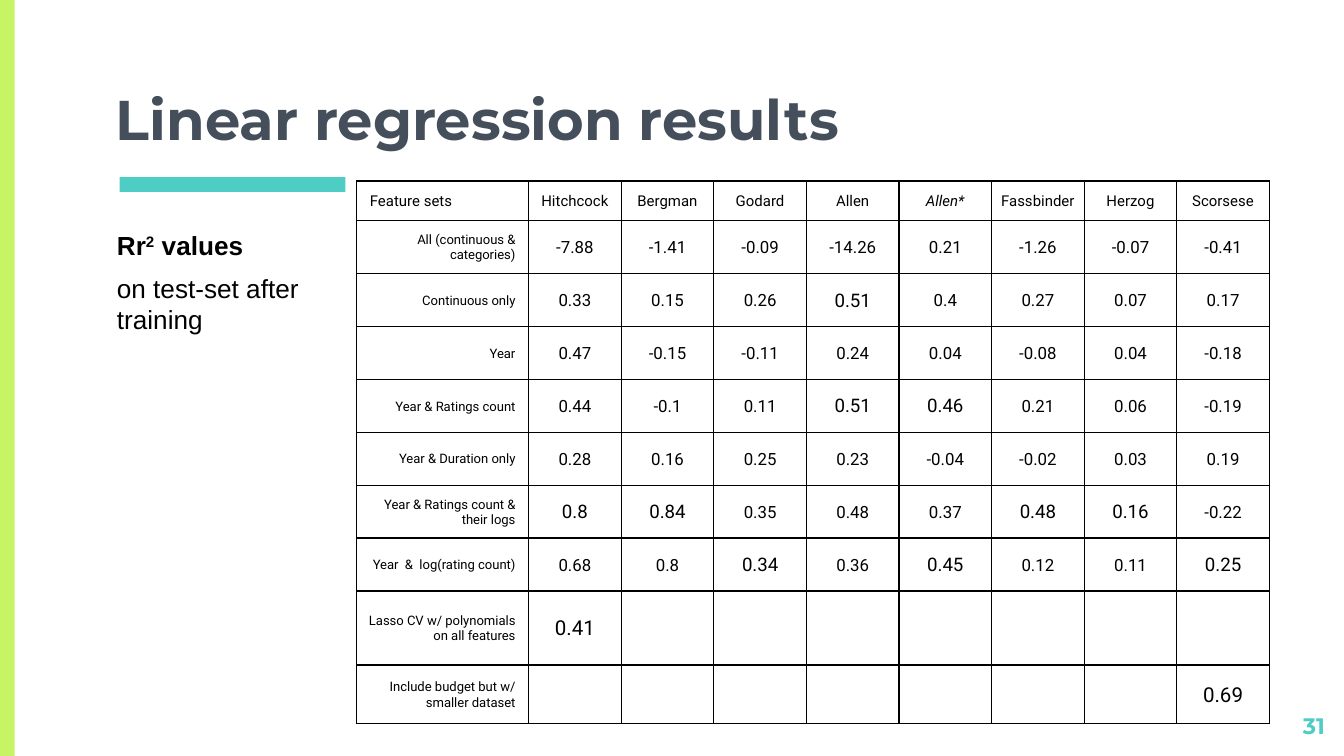
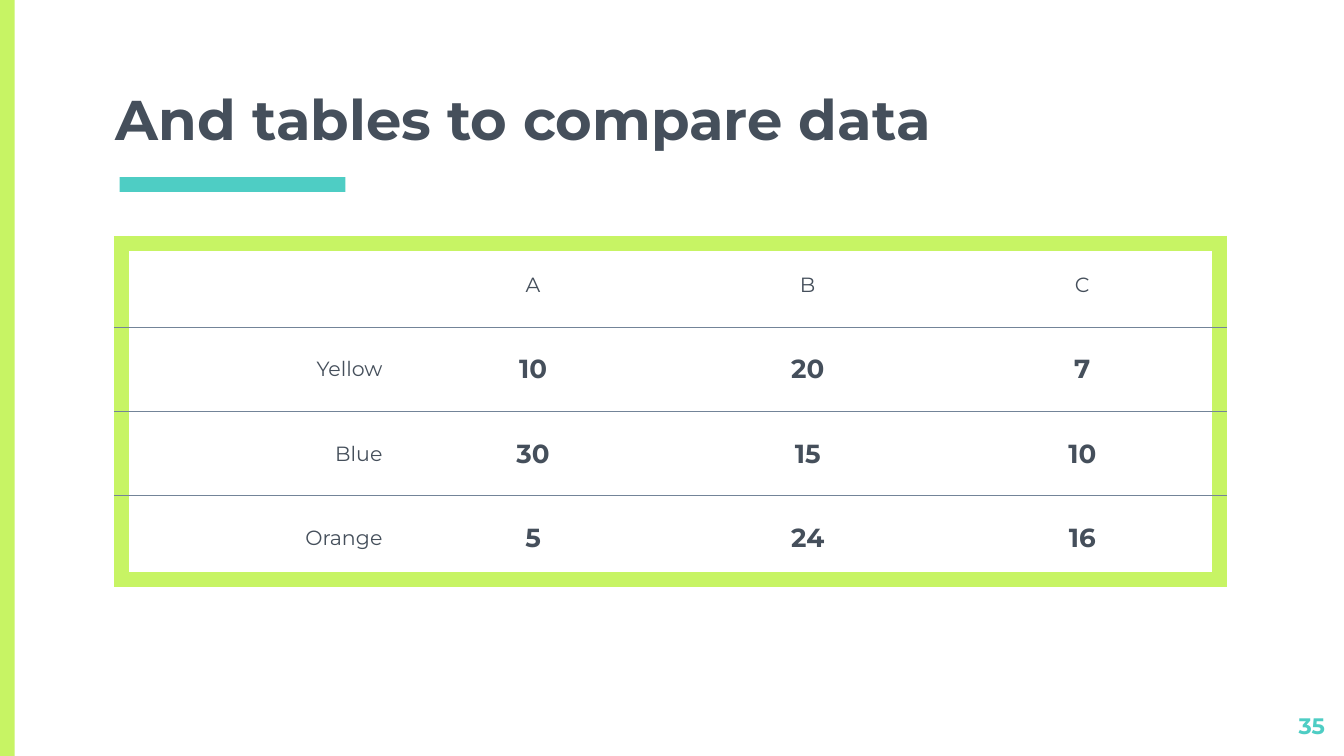
import pptx
import pptx.util
import pptx.dml.color
import pptx.enum.shapes
import pptx.enum.text
import pptx.oxml.ns
import lxml.etree

Cm = pptx.util.Cm
Pt = pptx.util.Pt
align = pptx.enum.text.PP_ALIGN
anchor = pptx.enum.text.MSO_ANCHOR
qn = pptx.oxml.ns.qn

theme = {
    "ink": "454F5B", "lime": "C7F464", "teal": "4ECDC4", "slate": "738498", "black": "000000",
    "title": ("ink", dict(name="Montserrat", size=Pt(30), bold=True)),
    "number": ("teal", dict(name="Montserrat", size=Pt(12), bold=True)),
    "lead": ("black", dict(name="Arial", size=Pt(14), bold=True)),
    "note": ("black", dict(name="Arial", size=Pt(14), bold=False)),
    "head": ("black", dict(name="Roboto", size=Pt(8))),
    "label": ("black", dict(name="Roboto", size=Pt(7))),
    "value": ("black", dict(name="Roboto", size=Pt(9))),
    "plain": ("ink", dict(name="Montserrat", size=Pt(11))),
    "strong": ("ink", dict(name="Montserrat", size=Pt(14), bold=True)),
}
tight = (0.03, 0.03, 0.03, 0)
roomy = (0.25, 0.18, 0.25, 0.18)
even = (0.25, 0.25, 0.25, 0.25)


def write(para, text, style, **extra):
    tint, form = theme[style]
    run = para.add_run()
    run.text = text
    for key, value in {**form, **extra}.items():
        setattr(run.font, key, value)
    run.font.color.rgb = pptx.dml.color.RGBColor.from_string(theme[tint])
    return run


def ready(host, pads, pose, side):
    form = dict(zip(("margin_left", "margin_top", "margin_right", "margin_bottom"), map(Cm, pads)))
    for key, value in {**form, "vertical_anchor": pose, "word_wrap": True}.items():
        if hasattr(host, key):
            setattr(host, key, value)
    para = getattr(host, "text_frame", host).paragraphs[0]
    para.alignment = side
    return para


scores = [
    ("Feature sets", "Hitchcock Bergman Godard Allen Allen* Fassbinder Herzog Scorsese"),
    ("All (continuous & categories)", "-7.88 -1.41 -0.09 -14.26 0.21 -1.26 -0.07 -0.41"),
    ("Continuous only", "0.33 0.15 0.26 0.51 0.4 0.27 0.07 0.17"),
    ("Year", "0.47 -0.15 -0.11 0.24 0.04 -0.08 0.04 -0.18"),
    ("Year & Ratings count", "0.44 -0.1 0.11 0.51 0.46 0.21 0.06 -0.19"),
    ("Year & Duration only", "0.28 0.16 0.25 0.23 -0.04 -0.02 0.03 0.19"),
    ("Year & Ratings count & their logs", "0.8 0.84 0.35 0.48 0.37 0.48 0.16 -0.22"),
    ("Year  &  log(rating count)", "0.68 0.8 0.34 0.36 0.45 0.12 0.11 0.25"),
    ("Lasso CV w/ polynomials on all features", "0.41"),
    ("Include budget but w/ smaller dataset", ""),
]
scores = [[label, *values.split()] for label, values in scores]
scores[-1] += [""] * 7 + ["0.69"]
best = dict.fromkeys([(2, 4), (4, 4), (4, 5), (6, 1), (6, 2), (6, 6), (6, 7),
                      (7, 3), (7, 5), (7, 8)], Pt(10))
best.update({(8, 1): Pt(11), (9, 8): Pt(11)})

thin = ("black", 0.75)
pages = [
    dict(title="Linear regression results", number="31", spot=(6.74, 3.42),
         cols=[3.25] + [1.75] * 8, rows=[0.75] + [1] * 7 + [1.4, 1.11],
         data=scores, sizes=best, rim=thin, level=thin, post=thin,
         forms=dict(corner=("head", align.LEFT, (0.25, 0.03, 0.03, 0)),
                    head=("head", align.CENTER, tight),
                    label=("label", align.RIGHT, (0.03, 0.03, 0.25, 0)),
                    value=("value", align.CENTER, tight))),
    dict(title="And tables to compare data", number="35", spot=(2.29, 4.6),
         cols=[5.19] * 4, rows=[1.59] * 4,
         data=[["", "A", "B", "C"], ["Yellow", "10", "20", "7"],
               ["Blue", "30", "15", "10"], ["Orange", "5", "24", "16"]],
         sizes={}, rim=("lime", 9), level=("slate", 0.75), post=None,
         forms=dict(corner=("plain", align.CENTER, roomy),
                    head=("plain", align.CENTER, roomy),
                    label=("plain", align.RIGHT, roomy),
                    value=("strong", align.CENTER, roomy))),
]

deck = pptx.Presentation()
deck.slide_width = Cm(25.4)
deck.slide_height = Cm(14.29)
slides = []

for page in pages:
    slide = deck.slides.add_slide(deck.slide_layouts[6])
    slides.append(slide)
    for tint, place in (("lime", (0, 0, 0.28, 14.29)), ("teal", (2.26, 3.35, 4.27, 0.28))):
        band = slide.shapes.add_shape(pptx.enum.shapes.MSO_SHAPE.RECTANGLE, *map(Cm, place))
        band.shadow.inherit = False
        band.fill.solid()
        band.fill.fore_color.rgb = pptx.dml.color.RGBColor.from_string(theme[tint])
        band.line.fill.background()
    for style, place, pose, side in (
        ("title", (1.94, 1.75, 21.56, 1.37), anchor.BOTTOM, align.LEFT),
        ("number", (23.77, 13.21, 1.52, 0.86), anchor.TOP, align.RIGHT),
    ):
        box = slide.shapes.add_textbox(*map(Cm, place))
        write(ready(box.text_frame, even, pose, side), page[style], style)

    cols, rows = page["cols"], page["rows"]
    place = (*page["spot"], sum(cols), sum(rows))
    table = slide.shapes.add_table(len(rows), len(cols), *map(Cm, place)).table
    table.first_row = table.horz_banding = False
    table._tbl.tblPr.find(qn("a:tableStyleId")).text = "{2D5ABB26-0587-4C30-8999-92F81FD0307C}"
    for col, width in zip(table.columns, cols):
        col.width = Cm(width)
    for row, height in zip(table.rows, rows):
        row.height = Cm(height)

    for r in range(len(rows)):
        for c in range(len(cols)):
            cell = table.cell(r, c)
            kind = ("value", "label", "head", "corner")[(r == 0) * 2 + (c == 0)]
            style, side, pads = page["forms"][kind]
            para = ready(cell, pads, anchor.MIDDLE, side)
            text = page["data"][r][c] if c < len(page["data"][r]) else ""
            if text:
                extra = {"size": page["sizes"][r, c]} if (r, c) in page["sizes"] else {}
                write(para, text, style, italic=text.endswith("*"), **extra)
            edges = {
                "a:lnL": page["rim" if c == 0 else "post"],
                "a:lnR": page["rim" if c == len(cols) - 1 else "post"],
                "a:lnT": page["rim" if r == 0 else "level"],
                "a:lnB": page["rim" if r == len(rows) - 1 else "level"],
            }
            props = cell._tc.get_or_add_tcPr()
            for tag, edge in edges.items():
                if edge:
                    line = lxml.etree.SubElement(props, qn(tag), w=str(Pt(edge[1])))
                    fill = lxml.etree.SubElement(line, qn("a:solidFill"))
                    lxml.etree.SubElement(fill, qn("a:srgbClr"), val=theme[edge[0]])
            cell.fill.background()

box = slides[0].shapes.add_textbox(*map(Cm, (1.96, 4.09, 4.32, 8.1)))
lead = ready(box.text_frame, even, anchor.TOP, align.LEFT)
write(lead, "Rr", "lead")
power = write(lead, "2", "lead")
power._r.get_or_add_rPr().set("baseline", "30000")
write(lead, " values", "lead")
note = box.text_frame.add_paragraph()
note.space_before = Pt(6)
write(note, "on test-set after training", "note")

deck.save("out.pptx")
